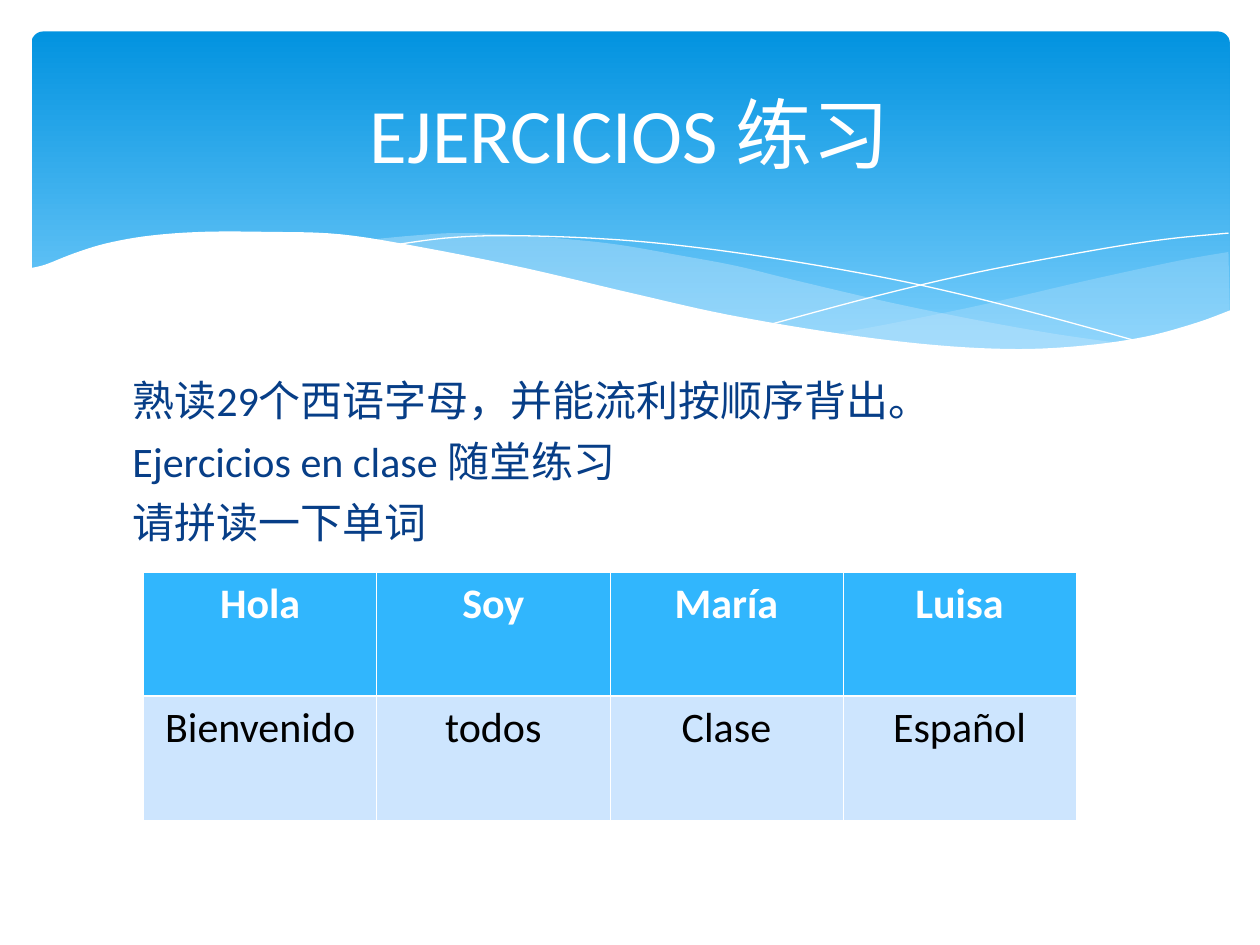
from itertools import chain

from lxml.etree import SubElement
from pptx import Presentation
from pptx.dml.color import RGBColor
from pptx.enum.shapes import MSO_SHAPE as Preset
from pptx.enum.text import MSO_ANCHOR as Anchor, MSO_AUTO_SIZE as AutoSize, PP_ALIGN as Align
from pptx.oxml.ns import qn
from pptx.util import Inches, Pt

FONT = "Calibri"
WHITE, NAVY, BLACK, PALE = "FFFFFF", "073E87", "000000", "C6E7FC"
SLIDE_COLUMNS, HEADER_COLUMNS = 1000, 951

RIGHT_WAVE = [
    [(950, 175), (910, 182), (836, 198), (754, 217), (681, 232), (636, 240)],
    [(636, 240), (680, 246), (732, 251), (778, 253), (829, 251), (880, 244),
     (924, 232), (951, 222)],
]
MIDDLE_WAVE = [
    [(868, 248), (812, 240), (750, 229), (681, 215), (604, 197), (559, 186), (516, 178),
     (464, 169), (416, 164), (374, 161), (336, 160), (303, 162), (261, 166)],
    [(261, 166), (298, 171), (358, 182), (424, 197), (505, 215), (576, 230), (640, 241),
     (697, 249), (748, 252), (793, 254), (832, 252), (868, 248)],
]
FALLING_LINE = [[(284, 170), (328, 164), (376, 162), (444, 164), (507, 169), (583, 179),
                 (670, 194), (735, 208), (806, 226), (882, 247)]]
RISING_LINE = [[(588, 232), (670, 210), (751, 191), (841, 174), (899, 165), (950, 160)]]
WHITE_WAVE = [
    [(952, 221), (925, 231), (885, 242), (838, 249), (784, 252), (719, 249), (643, 240),
     (554, 225), (478, 208), (393, 188), (314, 172), (246, 161), (186, 159), (136, 159),
     (94, 162), (60, 168), (34, 176), (11, 185), (-2, 188)],
    [(-2, 304), (952, 304)],
]
WAVES = [
    (RIGHT_WAVE, {"fill": PALE, "alpha": 29}),
    (MIDDLE_WAVE, {"fill": PALE, "alpha": 40}),
    (FALLING_LINE, {"line": WHITE}),
    (RISING_LINE, {"line": WHITE}),
    (WHITE_WAVE, {"fill": WHITE}),
]

EXERCISES = ["熟读29个西语字母，并能流利按顺序背出。", "Ejercicios en clase 随堂练习", "请拼读一下单词"]
WORDS = [["Hola", "Soy", "María", "Luisa"], ["Bienvenido", "todos", "Clase", "Español"]]
ROW_STYLES = [
    {"fill": "31B6FD", "color": WHITE, "bold": True},
    {"fill": "CDE5FE", "color": BLACK, "bold": False},
]


def rgb(value):
    return RGBColor.from_string(value)


def format_text(paragraph, text, color, size, bold=False):
    run = paragraph.add_run()
    run.text = text
    for name, value in {"name": FONT, "size": Pt(size), "bold": bold}.items():
        setattr(run.font, name, value)
    run.font.color.rgb = rgb(color)


def place(shape, box):
    for name, value in zip(("left", "top", "width", "height"), box):
        setattr(shape, name, value)
    shape.element.getparent().append(shape.element)


def smooth(points, steps=6):
    if len(points) < 3:
        return points
    padded = [points[0], *points, points[-1]]
    curve = []
    for before, start, end, after in zip(padded, padded[1:], padded[2:], padded[3:]):
        for step in range(steps):
            t = step / steps
            curve.append(tuple(
                b + t / 2 * (c - a + t * (2 * a - 5 * b + 4 * c - d
                                          + t * (3 * (b - c) + d - a)))
                for a, b, c, d in zip(before, start, end, after)))
    return curve + [points[-1]]


def add_wave(slide, box, curves, fill=None, alpha=100, line=None):
    left, top, width, height = box
    unit = width / HEADER_COLUMNS
    points = [(round(left + x * unit), round(top + y * unit))
              for x, y in chain.from_iterable(map(smooth, curves))]
    builder = slide.shapes.build_freeform(*points[0], scale=1.0)
    builder.add_line_segments(points[1:], close=fill is not None)
    shape = builder.convert_to_shape()
    shape.shadow.inherit = False
    if fill:
        shape.fill.solid()
        shape.fill.fore_color.rgb = rgb(fill)
        color = shape.element.spPr.find(qn("a:solidFill"))[0]
        SubElement(color, qn("a:alpha"), val=str(alpha * 1000))
    else:
        shape.fill.background()
    if line:
        shape.line.color.rgb = rgb(line)
        shape.line.width = Pt(0)
    else:
        shape.line.fill.background()


def add_header(slide, box):
    panel = slide.shapes.add_shape(Preset.ROUNDED_RECTANGLE, *box)
    panel.adjustments[0] = 0.034
    panel.shadow.inherit = False
    panel.line.fill.background()
    panel.fill.gradient()
    panel.fill.gradient_angle = 270
    for stop, color, position in zip(panel.fill.gradient_stops, ("0293E0", "83D3FE"), (0, 1)):
        stop.color.rgb = rgb(color)
        stop.position = position
    for curves, style in WAVES:
        add_wave(slide, box, curves, **style)


def add_title(slide, box):
    title = slide.shapes.title
    place(title, box)
    frame = title.text_frame
    frame.auto_size = AutoSize.NONE
    frame.vertical_anchor = Anchor.MIDDLE
    frame.paragraphs[0].alignment = Align.CENTER
    format_text(frame.paragraphs[0], "EJERCICIOS 练习", WHITE, 44)


def add_exercises(slide, box):
    body = slide.placeholders[1]
    place(body, box)
    frame = body.text_frame
    frame.auto_size = AutoSize.NONE
    for index, text in enumerate(EXERCISES):
        paragraph = frame.add_paragraph() if index else frame.paragraphs[0]
        paragraph.space_before = Pt(6)
        properties = paragraph._p.get_or_add_pPr()
        for name in ("marL", "indent"):
            properties.set(name, "0")
        SubElement(properties, qn("a:buNone"))
        format_text(paragraph, text, NAVY, 24)


def add_borders(cell, widths):
    properties = cell._tc.get_or_add_tcPr()
    for side, width in widths.items():
        line = SubElement(properties, qn(f"a:ln{side}"), w=str(Pt(width)))
        fill = SubElement(line, qn("a:solidFill"))
        SubElement(fill, qn("a:srgbClr"), val=WHITE)


def add_words(slide, box):
    table = slide.shapes.add_table(len(WORDS), len(WORDS[0]), *box).table
    for row_index, (words, style) in enumerate(zip(WORDS, ROW_STYLES)):
        widths = {"L": 0.45, "R": 0.45, "T": 0.45, "B": 0.45}
        widths["T" if row_index else "B"] = 1.47
        for column_index, word in enumerate(words):
            cell = table.cell(row_index, column_index)
            add_borders(cell, widths)
            cell.fill.solid()
            cell.fill.fore_color.rgb = rgb(style["fill"])
            paragraph = cell.text_frame.paragraphs[0]
            paragraph.alignment = Align.CENTER
            format_text(paragraph, word, style["color"], 24, style["bold"])


def main():
    presentation = Presentation()
    presentation.slide_width, presentation.slide_height = Inches(10), Inches(7.5)
    slide = presentation.slides.add_slide(presentation.slide_layouts[1])
    unit = presentation.slide_width / SLIDE_COLUMNS
    regions = [
        (add_header, (25, 25, 951, 270)),
        (add_exercises, (95, 292, 810, 377)),
        (add_title, (50, 37, 900, 137)),
        (add_words, (114, 454, 740, 197)),
    ]
    for add_region, box in regions:
        add_region(slide, [round(length * unit) for length in box])
    presentation.save("out.pptx")


if __name__ == "__main__":
    main()
